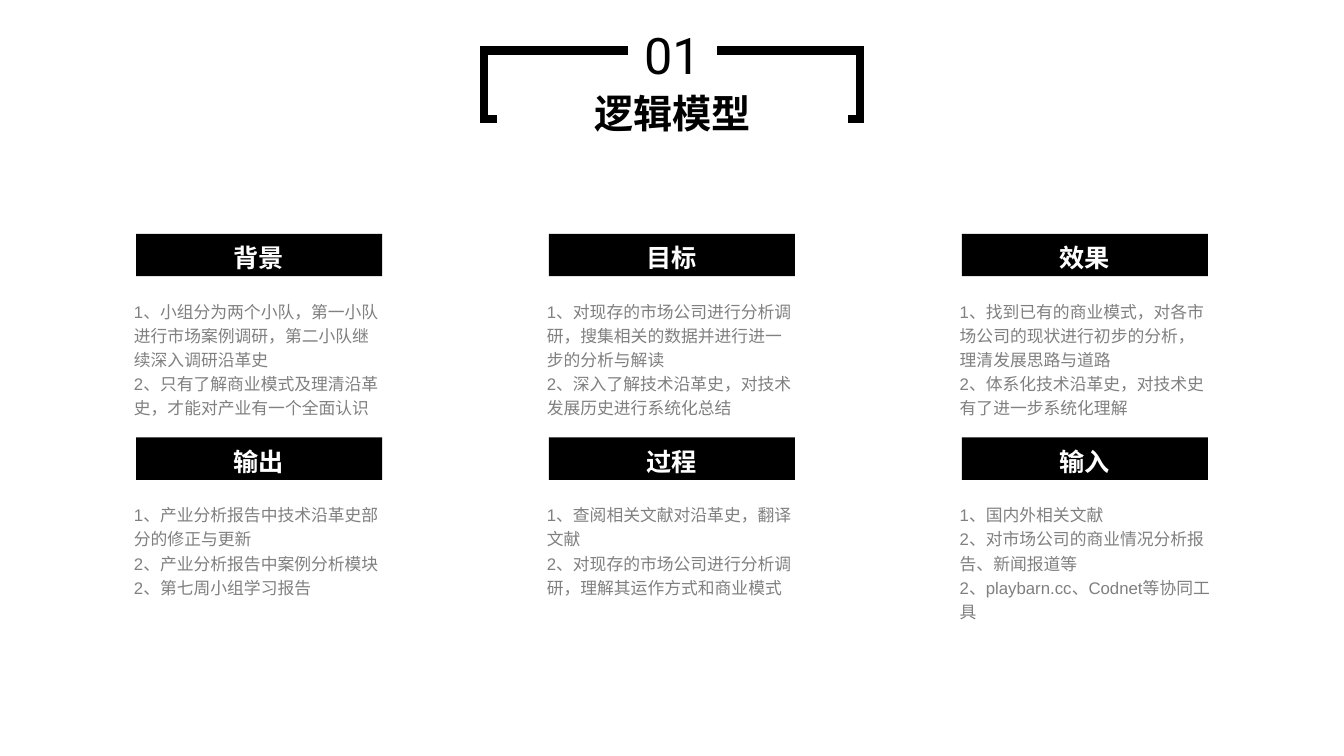
from lxml import etree
from pptx import Presentation
from pptx.dml.color import RGBColor
from pptx.enum import shapes, text
from pptx.oxml.ns import qn
from pptx.util import Inches, Pt


def color(value):
    return RGBColor.from_string(value)


def write(shape, lines, size, font, ink, bold, align, spacing):
    frame = shape.text_frame
    frame.word_wrap = True
    frame.auto_size = text.MSO_AUTO_SIZE.SHAPE_TO_FIT_TEXT
    frame.text = "\n".join(lines)
    for paragraph in frame.paragraphs:
        paragraph.alignment = align
        paragraph.line_spacing = spacing
        paragraph.font.size = Pt(size)
        paragraph.font.name = font
        paragraph.font.bold = bold
        paragraph.font.color.rgb = color(ink)


LEFT, CENTER = text.PP_ALIGN.LEFT, text.PP_ALIGN.CENTER
RECTANGLE = shapes.MSO_SHAPE.RECTANGLE

deck = Presentation()
deck.slide_width = Inches(13.33)
deck.slide_height = Inches(7.5)
page = deck.slides.add_slide(deck.slide_layouts[6])

bracket = page.shapes.add_shape(RECTANGLE, Inches(4.8), Inches(0.5), Inches(3.73), Inches(0.68))
bracket.shadow.inherit = False
bracket.fill.background()
bracket.line.color.rgb = color("000000")
bracket.line.width = Pt(6)
etree.SubElement(bracket.line._get_or_add_ln(), qn("a:miter"), lim="800000")

headings = [
    ("01", 6.23, 0.18, 0.88, 0.71, 36, False),
    ("逻辑模型", 4.93, 0.83, 3.48, 0.57, 28, True),
]
for words, left, top, width, height, size, bold in headings:
    heading = page.shapes.add_shape(RECTANGLE, Inches(left), Inches(top), Inches(width), Inches(height))
    heading.shadow.inherit = False
    heading.fill.solid()
    heading.fill.fore_color.rgb = color("FFFFFF")
    heading.line.fill.background()
    heading.text_frame.vertical_anchor = text.MSO_ANCHOR.MIDDLE
    write(heading, [words], size, "Roboto", "000000", bold, CENTER, 1.0)

sections = [
    ("背景", ["1、小组分为两个小队，第一小队进行市场案例调研，第二小队继续深入调研沿革史",
            "2、只有了解商业模式及理清沿革史，才能对产业有一个全面认识"]),
    ("目标", ["1、对现存的市场公司进行分析调研，搜集相关的数据并进行进一步的分析与解读",
            "2、深入了解技术沿革史，对技术发展历史进行系统化总结"]),
    ("效果", ["1、找到已有的商业模式，对各市场公司的现状进行初步的分析，理清发展思路与道路",
            "2、体系化技术沿革史，对技术史有了进一步系统化理解"]),
    ("输出", ["1、产业分析报告中技术沿革史部分的修正与更新",
            "2、产业分析报告中案例分析模块",
            "2、第七周小组学习报告"]),
    ("过程", ["1、查阅相关文献对沿革史，翻译文献",
            "2、对现存的市场公司进行分析调研，理解其运作方式和商业模式"]),
    ("输入", ["1、国内外相关文献",
            "2、对市场公司的商业情况分析报告、新闻报道等",
            "2、playbarn.cc、Codnet等协同工具"]),
]
for index, (title, points) in enumerate(sections):
    row, column = divmod(index, 3)
    left = 1.35 + 4.095 * column
    top = 2.32 + 2.02 * row

    bar = page.shapes.add_shape(RECTANGLE, Inches(left), Inches(top), Inches(2.44), Inches(0.42))
    bar.shadow.inherit = False
    bar.fill.solid()
    bar.fill.fore_color.rgb = color("000000")
    bar.line.fill.background()

    body = page.shapes.add_textbox(Inches(left - 0.12), Inches(top + 0.58), Inches(2.68), Inches(1.31))
    write(body, points, 12, "Arial", "808080", False, LEFT, 1.2)

    label = page.shapes.add_textbox(Inches(left - 0.01), Inches(top - 0.02), Inches(2.45), Inches(0.43))
    write(label, [title], 18, "Arial", "FFFFFF", True, CENTER, 1.2)

deck.save("out.pptx")
